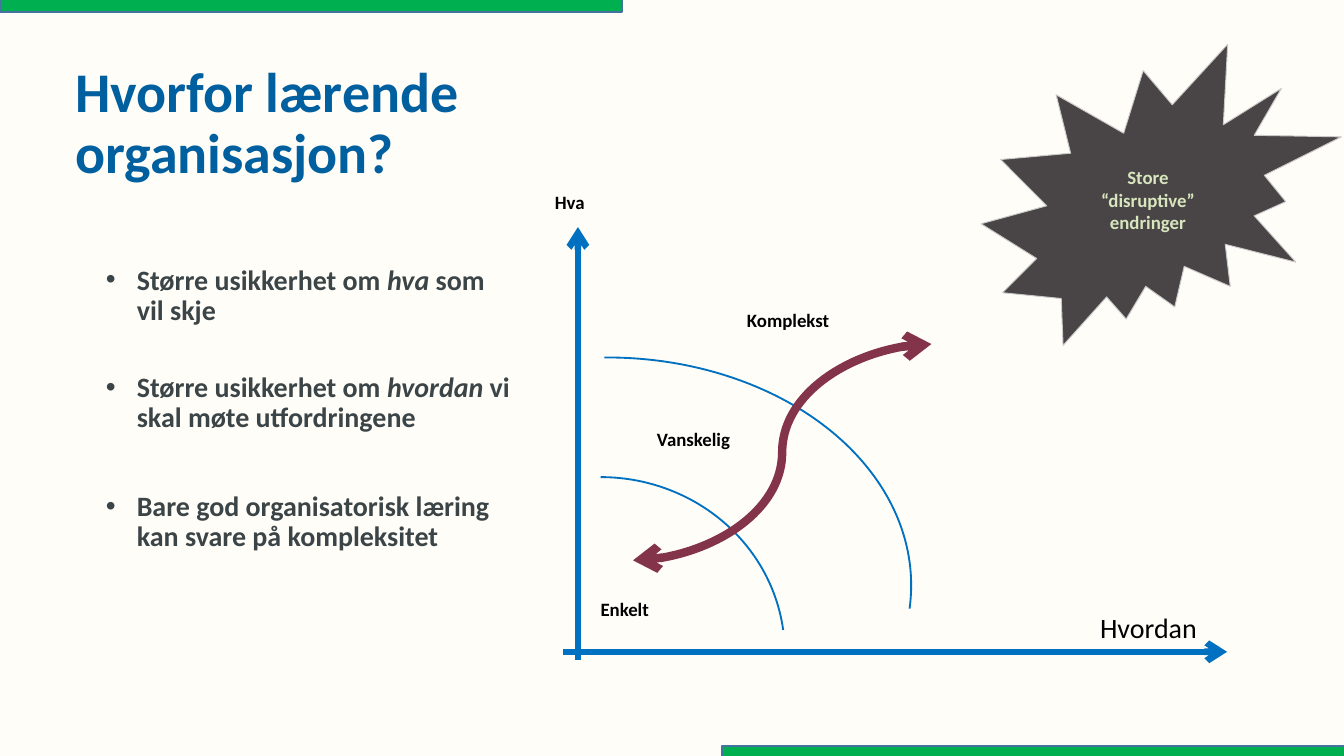
from lxml import etree
from pptx import Presentation
from pptx import util as u
from pptx.dml.color import RGBColor
from pptx.enum import shapes, text
from pptx.oxml import ns

BLUE, GREEN, WINE = "0070C0", "00B050", "83334A"
LABEL = {"size": u.Pt(10.1), "bold": True}


def colour(value):
    return RGBColor.from_string(value)


def inches(values):
    return [u.Inches(value) for value in values]


class Slide:
    """Holds the slide style and draws each kind of element on the page."""
    font = "Calibri"

    def __init__(self, deck, background):
        self.page = deck.slides.add_slide(deck.slide_layouts[5])
        fill = self.page.background.fill
        fill.solid()
        fill.fore_color.rgb = colour(background)

    def span(self, para, wording, hue, style):
        span = para.add_run()
        span.text = wording
        span.font.name = self.font
        span.font.color.rgb = colour(hue)
        for name, value in style.items():
            setattr(span.font, name, value)

    def title(self, wording, place, hue):
        title = self.page.shapes.title
        for name, value in zip(("left", "top", "width", "height"), inches(place)):
            setattr(title, name, value)
        frame = title.text_frame
        for name, value in {"word_wrap": True, "auto_size": text.MSO_AUTO_SIZE.NONE,
                            "vertical_anchor": text.MSO_ANCHOR.BOTTOM}.items():
            setattr(frame, name, value)
        para = frame.paragraphs[0]
        para.alignment = text.PP_ALIGN.LEFT
        para.line_spacing = 0.9
        self.span(para, wording, hue, {"size": u.Pt(30), "bold": True})

    def label(self, wording, place, style, wrap=False, align=text.PP_ALIGN.LEFT):
        frame = self.page.shapes.add_textbox(*inches(place)).text_frame
        frame.word_wrap = wrap
        frame.auto_size = text.MSO_AUTO_SIZE.SHAPE_TO_FIT_TEXT
        frame.paragraphs[0].alignment = align
        self.span(frame.paragraphs[0], wording, "000000", style)

    def bullets(self, items, place, hue):
        """Each item is its space before in points and its (wording, italic) parts."""
        frame = self.page.shapes.add_textbox(*inches(place)).text_frame
        frame.word_wrap = True
        for index, (space, parts) in enumerate(items):
            para = frame.add_paragraph() if index else frame.paragraphs[0]
            para.line_spacing = 0.9
            para.space_before = u.Pt(space)
            props = para._p.get_or_add_pPr()
            props.set("marL", str(u.Inches(0.23)))
            props.set("indent", str(u.Inches(-0.23)))
            etree.SubElement(props, ns.qn("a:buFont"), typeface="Arial")
            etree.SubElement(props, ns.qn("a:buChar"), char="•")
            for wording, italic in parts:
                self.span(para, wording, hue,
                          {"size": u.Pt(15), "bold": True, "italic": italic})

    def shape(self, kind, place, line, width, fill=None, adjust=()):
        shape = self.page.shapes.add_shape(kind, *inches(place))
        shape.shadow.inherit = False
        for index, value in enumerate(adjust):
            shape.adjustments[index] = value
        if fill:
            shape.fill.solid()
            shape.fill.fore_color.rgb = colour(fill)
        else:
            shape.fill.background()
        shape.line.color.rgb = colour(line)
        shape.line.width = u.Pt(width)
        return shape

    def burst(self, wording, place):
        burst = self.shape(shapes.MSO_SHAPE.EXPLOSION2, place, "C9C9C9", 0.5, "494446")
        frame = burst.text_frame
        frame.word_wrap = True
        frame.vertical_anchor = text.MSO_ANCHOR.MIDDLE
        frame.paragraphs[0].alignment = text.PP_ALIGN.CENTER
        self.span(frame.paragraphs[0], wording, "D7E6BD", LABEL)

    def arrow(self, kind, ends, hue, width, heads=("tailEnd",)):
        arrow = self.page.shapes.add_connector(kind, *inches(ends))
        arrow.line.color.rgb = colour(hue)
        arrow.line.width = u.Pt(width)
        line = arrow.line._get_or_add_ln()
        for head in heads:
            etree.SubElement(line, ns.qn("a:" + head), type="arrow")
        etree.SubElement(arrow._element.spPr, ns.qn("a:effectLst"))


def main():
    deck = Presentation()
    deck.slide_width = u.Inches(10)
    deck.slide_height = deck.slide_width * 9 // 16
    slide = Slide(deck, "FFFDF8")
    connector, preset = shapes.MSO_CONNECTOR, shapes.MSO_SHAPE

    for axis in ((4.3, 4.91, 4.3, 1.69), (4.19, 4.85, 9.13, 4.85)):
        slide.arrow(connector.STRAIGHT, axis, BLUE, 3.5)
    for place, angles in (((3.1, 3.55, 2.74, 2.62), (162, 211.64)),
                          ((2.26, 2.66, 4.52, 3.39), (161.54, 2.65))):
        slide.shape(preset.ARC, place, BLUE, 1, adjust=angles)

    slide.label("Hvordan", (7.39, 4.49, 2.31, 0.35), {"size": u.Pt(15)},
                wrap=True, align=text.PP_ALIGN.CENTER)
    for wording, left, top, width in (("Enkelt", 4.37, 4.4, 0.57),
                                      ("Vanskelig", 4.79, 3.13, 0.76),
                                      ("Komplekst", 5.46, 2.25, 0.83),
                                      ("Hva", 4.03, 1.37, 0.43)):
        slide.label(wording, (left, top, width, 0.27), LABEL)
    slide.arrow(connector.CURVE, (4.71, 4.17, 6.93, 2.56), WINE, 4.5,
                ("headEnd", "tailEnd"))

    slide.title("Hvorfor lærende organisasjon?", (0.46, 0.12, 4.02, 1.31), "005F9F")
    slide.bullets([
        (0, [("Større usikkerhet om ", False), ("hva", True), (" som vil skje", False)]),
        (25, [("Større usikkerhet om ", False), ("hvordan", True),
              (" vi skal møte utfordringene", False)]),
        (31.5, [("Bare god organisatorisk læring kan svare på kompleksitet", False)]),
    ], (0.69, 1.93, 3.23, 3.13), "3B4446")

    for left, top in ((0, -0.01), (5.37, 5.55)):
        slide.shape(preset.RECTANGLE, (left, top, 4.63, 0.1), "43739E", 1, GREEN)
    slide.burst("Store “disruptive” endringer", (7.3, 0.33, 2.68, 2.24))
    deck.save("out.pptx")


if __name__ == "__main__":
    main()
